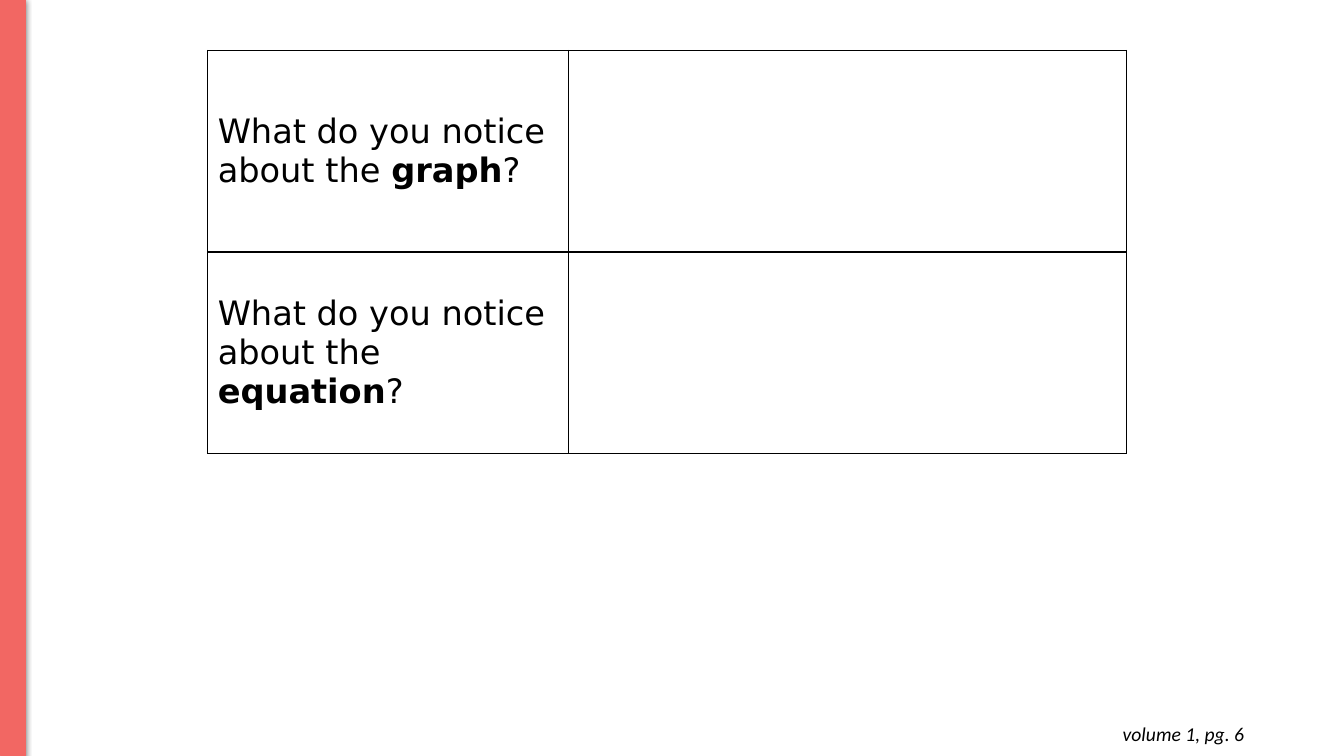
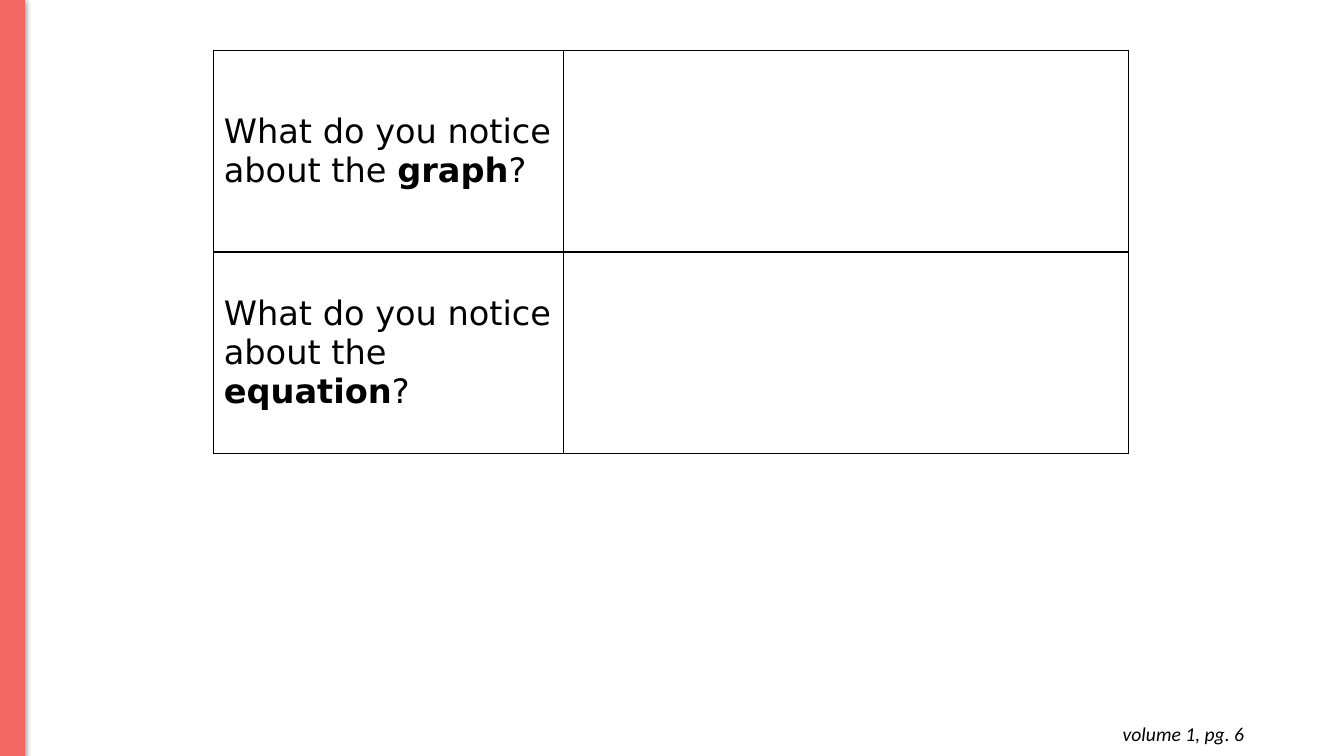
from lxml import etree
from pptx import Presentation
from pptx.dml.color import RGBColor
from pptx.enum.shapes import MSO_SHAPE
from pptx.enum.text import MSO_ANCHOR, MSO_AUTO_SIZE, PP_ALIGN
from pptx.oxml import parse_xml
from pptx.oxml.ns import nsdecls, qn
from pptx.util import Inches, Pt

RECTANGLE = MSO_SHAPE.RECTANGLE
MIDDLE = MSO_ANCHOR.MIDDLE
GROW = MSO_AUTO_SIZE.SHAPE_TO_FIT_TEXT
LEFT, RIGHT = PP_ALIGN.LEFT, PP_ALIGN.RIGHT

COLORS = {"coral": "F26763", "black": "000000"}
BLACK = RGBColor.from_string(COLORS["black"])
CORAL = RGBColor.from_string(COLORS["coral"])

ROW_HEIGHT = 2
QUESTION_START = "What do you notice about the "
TOPICS = ["graph", "equation"]
FOOTER = "volume 1, pg. 6"

# Left edge of the side band, left edge of the table, column widths
SLIDES = [
    (0.01, 2.06, [3.58, 5.53]),
    (0, 2.12, [3.47, 5.6]),
]


def write_text(text_frame, text, bold_word=None, size=24, font="DejaVu Sans",
               italic=False, align=LEFT):
    """Fill the first paragraph, setting bold_word in bold where it occurs."""
    paragraph = text_frame.paragraphs[0]
    paragraph.alignment = align
    parts = text.partition(bold_word) if bold_word else (text,)
    for part in parts:
        run = paragraph.add_run()
        run.text = part
        run.font.name = font
        run.font.size = Pt(size)
        run.font.italic = italic
        run.font.bold = part == bold_word
        run.font.color.rgb = BLACK


def add_cell_borders(cell):
    properties = cell._tc.get_or_add_tcPr()
    for side in ("lnL", "lnR", "lnT", "lnB"):
        properties.append(parse_xml(
            f'<a:{side} {nsdecls("a")} w="{Pt(1)}"><a:solidFill>'
            f'<a:srgbClr val="{COLORS["black"]}"/></a:solidFill></a:{side}>'))


presentation = Presentation()
presentation.slide_width = Inches(13.33)
presentation.slide_height = Inches(7.5)
blank_layout = presentation.slide_layouts[6]

for band_left, table_left, column_widths in SLIDES:
    slide = presentation.slides.add_slide(blank_layout)

    # Side band with a soft shadow
    band = slide.shapes.add_shape(
        RECTANGLE, Inches(band_left), Inches(-0.01), Inches(0.24), Inches(7.51))
    band.fill.solid()
    band.fill.fore_color.rgb = CORAL
    band.line.color.rgb = CORAL
    band.line.width = Pt(0.75)
    band.shadow.inherit = False
    effects = band._element.spPr.find(qn("a:effectLst"))
    shadow = etree.SubElement(
        effects, qn("a:outerShdw"), blurRad=str(Pt(4.5)), dist=str(Pt(1.5)),
        dir="5400000", algn="bl", rotWithShape="0")
    shadow_color = etree.SubElement(shadow, qn("a:srgbClr"), val=COLORS["black"])
    etree.SubElement(shadow_color, qn("a:alpha"), val="50000")

    # Questions on the left, room for answers on the right
    table = slide.shapes.add_table(
        len(TOPICS), len(column_widths), Inches(table_left), Inches(0.5),
        Inches(sum(column_widths)), Inches(ROW_HEIGHT * len(TOPICS))).table
    table.first_row = False
    table.horz_banding = False
    for column, width in zip(table.columns, column_widths):
        column.width = Inches(width)
    for row, topic in zip(table.rows, TOPICS):
        row.height = Inches(ROW_HEIGHT)
        for cell in row.cells:
            add_cell_borders(cell)
            cell.fill.background()
            cell.vertical_anchor = MIDDLE
        write_text(row.cells[0].text_frame, f"{QUESTION_START}{topic}?",
                   bold_word=topic)

    # Page reference
    footer = slide.shapes.add_textbox(
        Inches(9.56), Inches(7.06), Inches(2.88), Inches(0.44)).text_frame
    footer.word_wrap = True
    footer.auto_size = GROW
    footer.margin_left = footer.margin_right = Inches(0.1)
    footer.margin_top = footer.margin_bottom = Inches(0.1)
    write_text(footer, FOOTER, size=14, font="Calibri", italic=True, align=RIGHT)

presentation.save("out.pptx")
